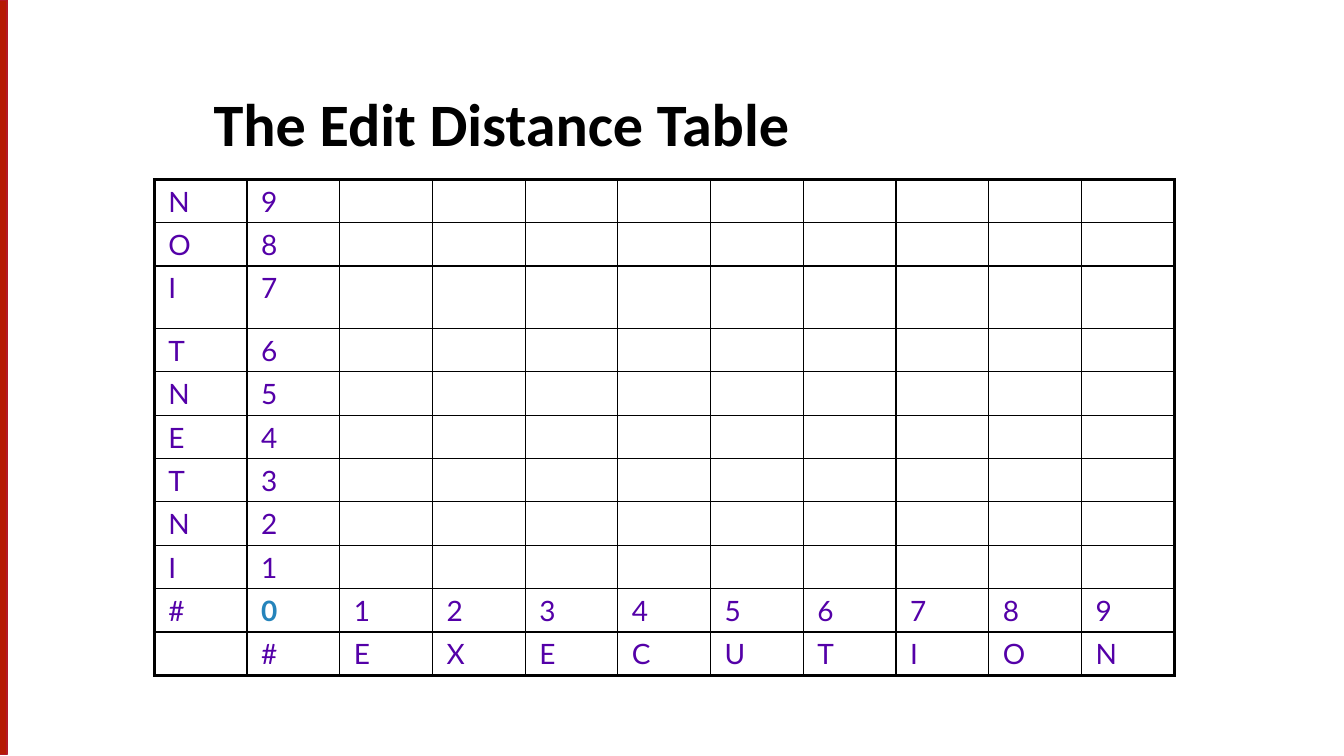
from dataclasses import dataclass

from lxml import etree
from pptx import Presentation
from pptx import util as u
from pptx.dml.color import RGBColor
from pptx.enum import shapes, text
from pptx.oxml import ns

# Content
TITLE = "The Edit Distance Table"
SOURCE_WORD = "INTENTION"
TARGET_WORD = "EXECUTION"
START = "#"

# Layout, in px (100 to the inch)
SLIDE = (1333, 750)
SIDE_BAR = (0, 0, 7, 749)
TITLE_BOX = (211, 84, 577, 74)
GRID_ORIGIN = (153, 178)
COLUMN_WIDTH = 92
ROW_HEIGHT = 43
TALL_ROW, TALL_HEIGHT = 2, 62
CELL_INDENT, CELL_TOP = 14, 5


@dataclass(frozen=True)
class Theme:
    bar: str = "B51904"
    bar_edge: str = "B51826"
    ink: str = "000000"
    letter: str = "5400A8"
    origin: str = "2584BB"
    title_font: str = "Calibri"
    cell_font: str = "Lato"
    title_size: float = 43
    cell_size: float = 20
    inner_line: float = 1
    outer_line: float = 2.25


THEME = Theme()


def px(length):
    return u.Emu(length * 9144)


def set_font(paragraph, name, size, color, bold=False):
    font = paragraph.font
    font.name, font.size, font.bold = name, u.Pt(size), bold
    font.color.rgb = RGBColor.from_string(color)


def set_borders(cell, outer_edges):
    """Draw the four cell edges, heavier where the table ends."""
    properties = cell._tc.get_or_add_tcPr()
    for place, (side, is_outer) in enumerate(outer_edges.items()):
        width = THEME.outer_line if is_outer else THEME.inner_line
        line = etree.Element(ns.qn(f"a:ln{side}"), w=str(u.Pt(width)))
        fill = etree.SubElement(line, ns.qn("a:solidFill"))
        etree.SubElement(fill, ns.qn("a:srgbClr"), val=THEME.ink)
        properties.insert(place, line)


def edit_distance_rows():
    """Source word upwards with its costs, then the target word below."""
    size = len(TARGET_WORD)
    rows = [[letter, str(cost)] + [""] * size
            for cost, letter in enumerate(SOURCE_WORD, 1)][::-1]
    rows.append([START] + [str(cost) for cost in range(size + 1)])
    rows.append(["", START, *TARGET_WORD])
    return rows


def main():
    deck = Presentation()
    deck.slide_width, deck.slide_height = map(px, SLIDE)
    slide = deck.slides.add_slide(deck.slide_layouts[5])

    # Side bar
    side_bar = slide.shapes.add_shape(shapes.MSO_SHAPE.RECTANGLE, *map(px, SIDE_BAR))
    side_bar.shadow.inherit = False
    side_bar.fill.solid()
    side_bar.fill.fore_color.rgb = RGBColor.from_string(THEME.bar)
    side_bar.line.color.rgb = RGBColor.from_string(THEME.bar_edge)
    side_bar.line.width = u.Pt(0.75)

    # Title
    title = slide.shapes.title
    title.left, title.top, title.width, title.height = map(px, TITLE_BOX)
    frame = title.text_frame
    frame.text = TITLE
    frame.margin_left = px(1)
    frame.margin_top = px(2)
    frame.margin_right = frame.margin_bottom = 0
    frame.vertical_anchor = text.MSO_ANCHOR.TOP
    frame.auto_size = text.MSO_AUTO_SIZE.NONE
    frame.paragraphs[0].alignment = text.PP_ALIGN.LEFT
    set_font(frame.paragraphs[0], THEME.title_font, THEME.title_size, THEME.ink, True)

    # Edit distance table
    rows = edit_distance_rows()
    row_count, column_count = len(rows), len(rows[0])
    heights = [TALL_HEIGHT if r == TALL_ROW else ROW_HEIGHT for r in range(row_count)]
    grid = slide.shapes.add_table(
        row_count, column_count, *map(px, GRID_ORIGIN),
        px(COLUMN_WIDTH * column_count), px(sum(heights))).table
    grid.first_row = grid.horz_banding = False
    for column in grid.columns:
        column.width = px(COLUMN_WIDTH)
    for row, height in zip(grid.rows, heights):
        row.height = px(height)

    for r, values in enumerate(rows):
        for c, value in enumerate(values):
            cell = grid.cell(r, c)
            cell.text = value
            cell.margin_left, cell.margin_top = px(CELL_INDENT), px(CELL_TOP)
            cell.margin_right = cell.margin_bottom = 0
            cell.fill.background()
            is_origin = value == "0"
            set_font(cell.text_frame.paragraphs[0], THEME.cell_font, THEME.cell_size,
                     THEME.origin if is_origin else THEME.letter, is_origin)
            set_borders(cell, {"L": c == 0, "R": c == column_count - 1,
                               "T": r == 0, "B": r == row_count - 1})

    deck.save("out.pptx")


if __name__ == "__main__":
    main()
